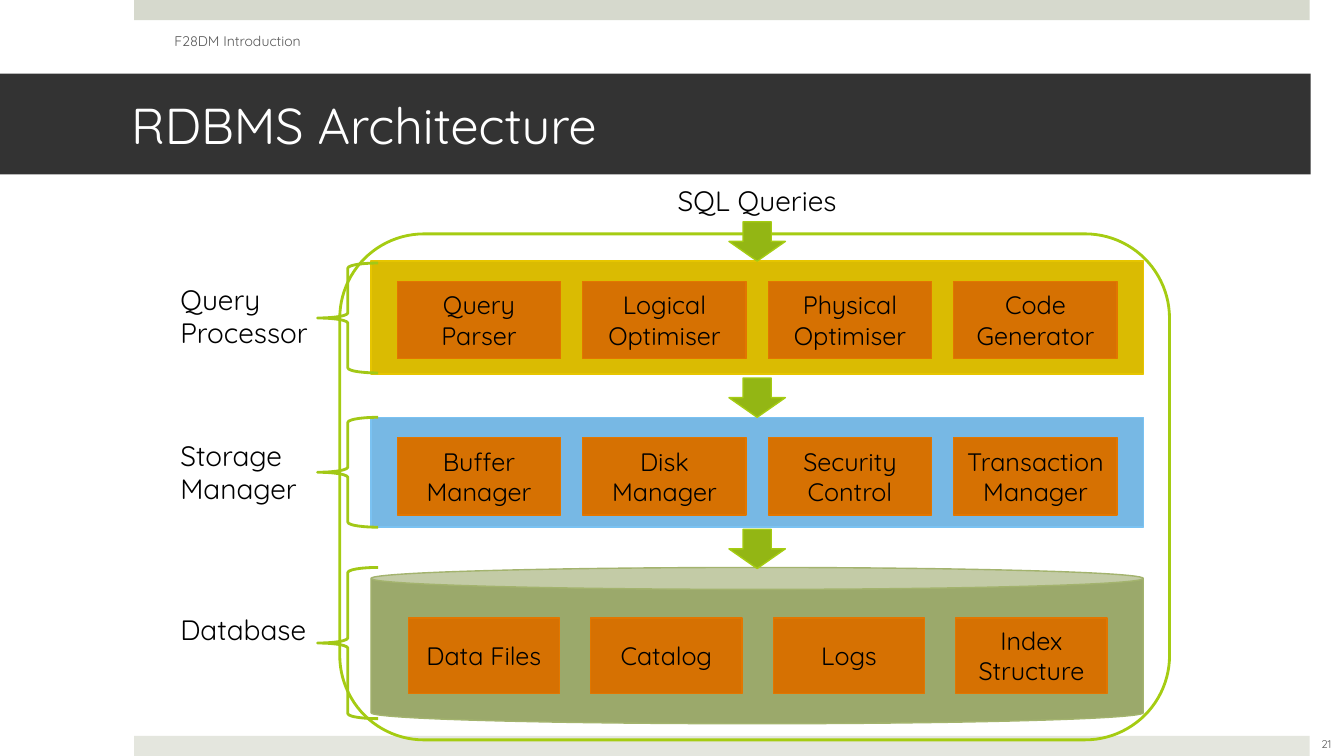
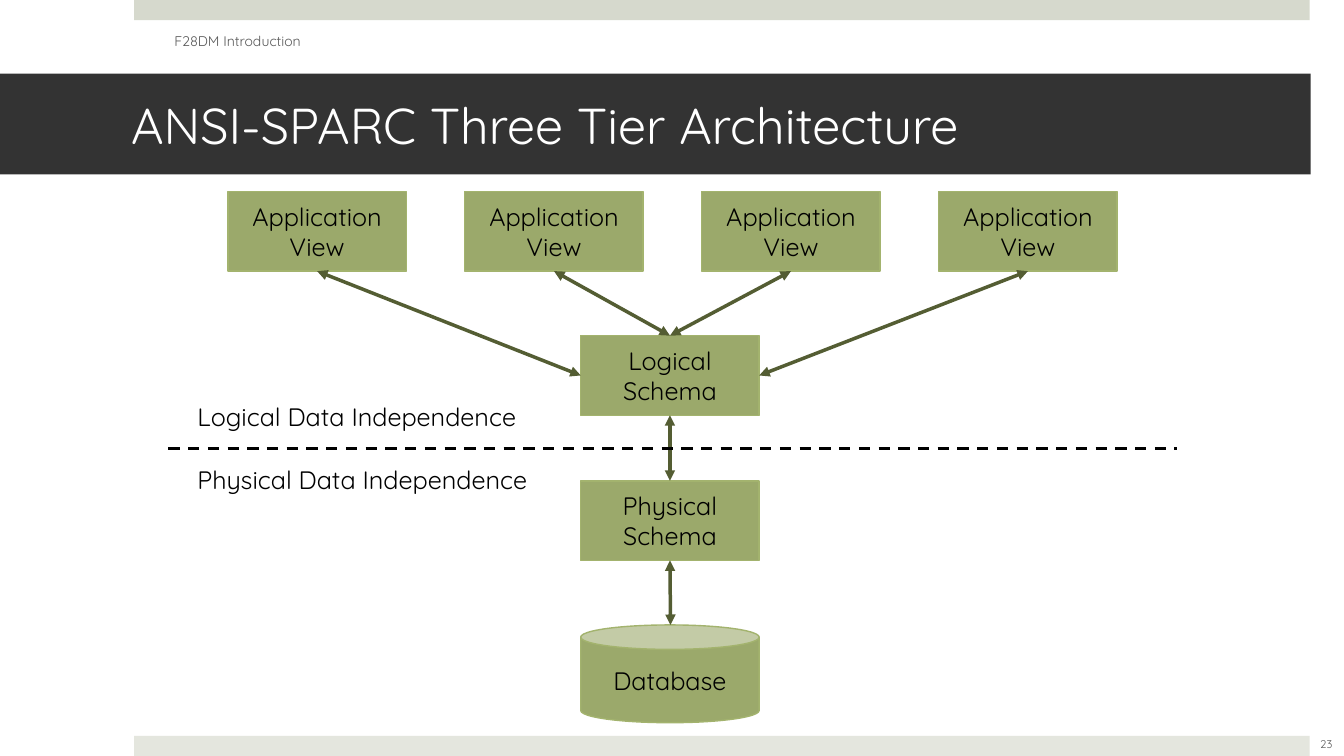
import pptx
import pptx.dml.color
import pptx.enum.dml
import pptx.enum.shapes
import pptx.enum.text
import pptx.oxml.ns
import pptx.oxml.xmlchemy
import pptx.util

PX = 9144  # EMU in one px, 100 px to the inch
FONT = "Quicksand"
BLACK, WHITE, GREY, DARK = "000000", "FFFFFF", "595959", "333333"
OLIVE, LEAF, RUST = ("9BA96B", "A3B36E"), ("93B614", "A5CC12"), ("D67102", "E27600")
GOLD, SKY = ("DABB02", "E6C500"), ("77B8E4", "7AC2F2")
LIME, MOSS = "A2C816", "545D33"

hue = pptx.dml.color.RGBColor.from_string
node = pptx.oxml.xmlchemy.OxmlElement
KIND = pptx.enum.shapes.MSO_SHAPE
ALIGN = pptx.enum.text.PP_ALIGN
MIDDLE = pptx.enum.text.MSO_ANCHOR.MIDDLE
TOP = pptx.enum.text.MSO_ANCHOR.TOP


def box(slide, kind, x, y, w, h, fill=None, edge=None, width=1, text="",
        size=18, ink=BLACK, align=ALIGN.CENTER, anchor=MIDDLE):
    """Add a preset shape, or a text box when kind is None."""
    place = [n * PX for n in (x, y, w, h)]
    if kind is None:
        shape = slide.shapes.add_textbox(*place)
    else:
        shape = slide.shapes.add_shape(kind, *place)
        shape.shadow.inherit = False
        if fill:
            shape.fill.solid()
            shape.fill.fore_color.rgb = hue(fill)
        else:
            shape.fill.background()
        if edge:
            shape.line.color.rgb = hue(edge)
            shape.line.width = pptx.util.Pt(width)
        else:
            shape.line.fill.background()
    if text:
        frame = shape.text_frame
        frame.word_wrap = True
        frame.vertical_anchor = anchor
        frame.text = text
        for para in frame.paragraphs:
            para.alignment = align
            para.font.name = FONT
            para.font.size = pptx.util.Pt(size)
            para.font.color.rgb = hue(ink)
    return shape


def line(slide, x1, y1, x2, y2, ink, width):
    wire = slide.shapes.add_connector(
        pptx.enum.shapes.MSO_CONNECTOR.STRAIGHT, x1 * PX, y1 * PX, x2 * PX, y2 * PX)
    wire.line.color.rgb = hue(ink)
    wire.line.width = pptx.util.Pt(width)
    wire.element.spPr.append(node("a:effectLst"))
    return wire


deck = pptx.Presentation()
deck.slide_width = 1333 * PX
deck.slide_height = 750 * PX

# Shared bands, title, header and page number
pages = []
for title, number in (("RDBMS Architecture", "21"),
                      ("ANSI-SPARC Three Tier Architecture", "23")):
    page = deck.slides.add_slide(deck.slide_layouts[6])
    box(page, KIND.RECTANGLE, 133, 0, 1166, 20, "D6D9CD")
    box(page, KIND.RECTANGLE, 133, 730, 1166, 20, "E4E6DE")
    band = box(page, KIND.RECTANGLE, 0, 73, 1300, 100, DARK, text=title,
               size=36, ink=WHITE, align=ALIGN.LEFT)
    band.text_frame.margin_left = 130 * PX
    band.text_frame.margin_right = 30 * PX
    box(page, None, 163, 21, 422, 40, text="F28DM Introduction",
        size=10, ink=GREY, align=ALIGN.LEFT)
    box(page, None, 1282, 718, 67, 40, text=number, size=8, ink=GREY)
    pages.append(page)
rdbms, tiers = pages

# RDBMS layers
box(rdbms, KIND.ROUNDED_RECTANGLE, 337, 232, 823, 502, edge=LEAF[1], width=2)
box(rdbms, KIND.RECTANGLE, 368, 259, 766, 112, *GOLD)
box(rdbms, KIND.RECTANGLE, 368, 414, 766, 109, *SKY)
drum = box(rdbms, KIND.CAN, 368, 563, 766, 155, *OLIVE)
drum.adjustments[0] = 0.14

# Each row: left, top, width, height, step, parts
rows = (
    (394, 279, 162, 77, 184, ("Query Parser", "Logical Optimiser",
                              "Physical Optimiser", "Code Generator")),
    (394, 434, 162, 77, 184, ("Buffer Manager", "Disk Manager",
                              "Security Control", "Transaction\nManager")),
    (405, 613, 150, 75, 181, ("Data Files", "Catalog", "Logs", "Index Structure")),
)
for x, y, w, h, step, parts in rows:
    for i, part in enumerate(parts):
        box(rdbms, KIND.RECTANGLE, x + i * step, y, w, h, *RUST, text=part)

for y, h in ((261, 109), (414, 109), (563, 150)):
    box(rdbms, KIND.LEFT_BRACE, 315, y, 60, h, edge=LIME, width=2)
for y in (220, 375, 525):
    box(rdbms, KIND.DOWN_ARROW, 723, y, 56, 39, *LEAF)
for y, h, name in ((275, 80, "Query\nProcessor"), (430, 77, "Storage\nManager"),
                   (603, 44, "Database")):
    box(rdbms, None, 169, y, 156, h, text=name, size=20, align=ALIGN.LEFT, anchor=TOP)
box(rdbms, None, 656, 177, 190, 44, text="SQL Queries", size=20, anchor=TOP)

# Three tiers
views = [box(tiers, KIND.RECTANGLE, 226 + i * 235, 190, 177, 79, *OLIVE,
             text="Application View") for i in range(4)]
logic, store = [box(tiers, KIND.RECTANGLE, 576, y, 177, 79, *OLIVE, text=name)
                for y, name in ((333, "Logical Schema"), (477, "Physical Schema"))]
box(tiers, KIND.CAN, 576, 620, 177, 97, *OLIVE, text="Database")

# Connection sites: 0 top, 1 left, 2 bottom, 3 right
links = [(view, logic, site) for view, site in zip(views, (1, 0, 0, 3))]
links += [(logic, store, 0), (store, None, 0)]
for start, stop, site in links:
    wire = line(tiers, 665, 556, 665, 620, MOSS, 2.5)
    wire.begin_connect(start, 2)
    if stop:
        wire.end_connect(stop, site)
    stroke = wire.element.spPr.find(pptx.oxml.ns.qn("a:ln"))
    for end in ("a:headEnd", "a:tailEnd"):
        tip = node(end)
        tip.set("type", "triangle")
        stroke.append(tip)

split = line(tiers, 167, 445, 1167, 445, BLACK, 2)
split.line.dash_style = pptx.enum.dml.MSO_LINE.DASH
for y, name in ((393, "Logical"), (456, "Physical")):
    box(tiers, None, 186, y, 379, 40, text=name + " Data Independence",
        align=ALIGN.LEFT, anchor=TOP)

deck.save("out.pptx")
